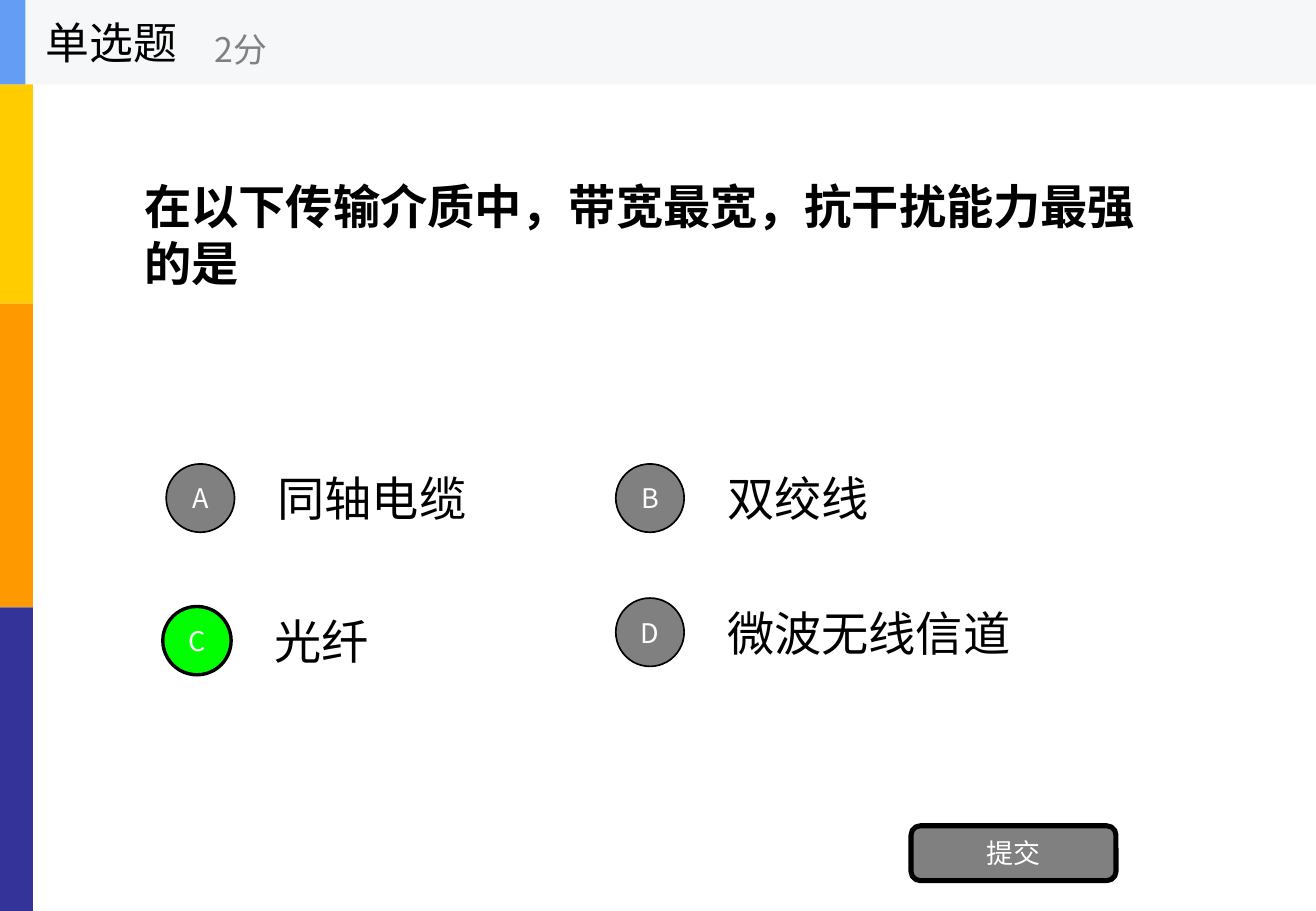
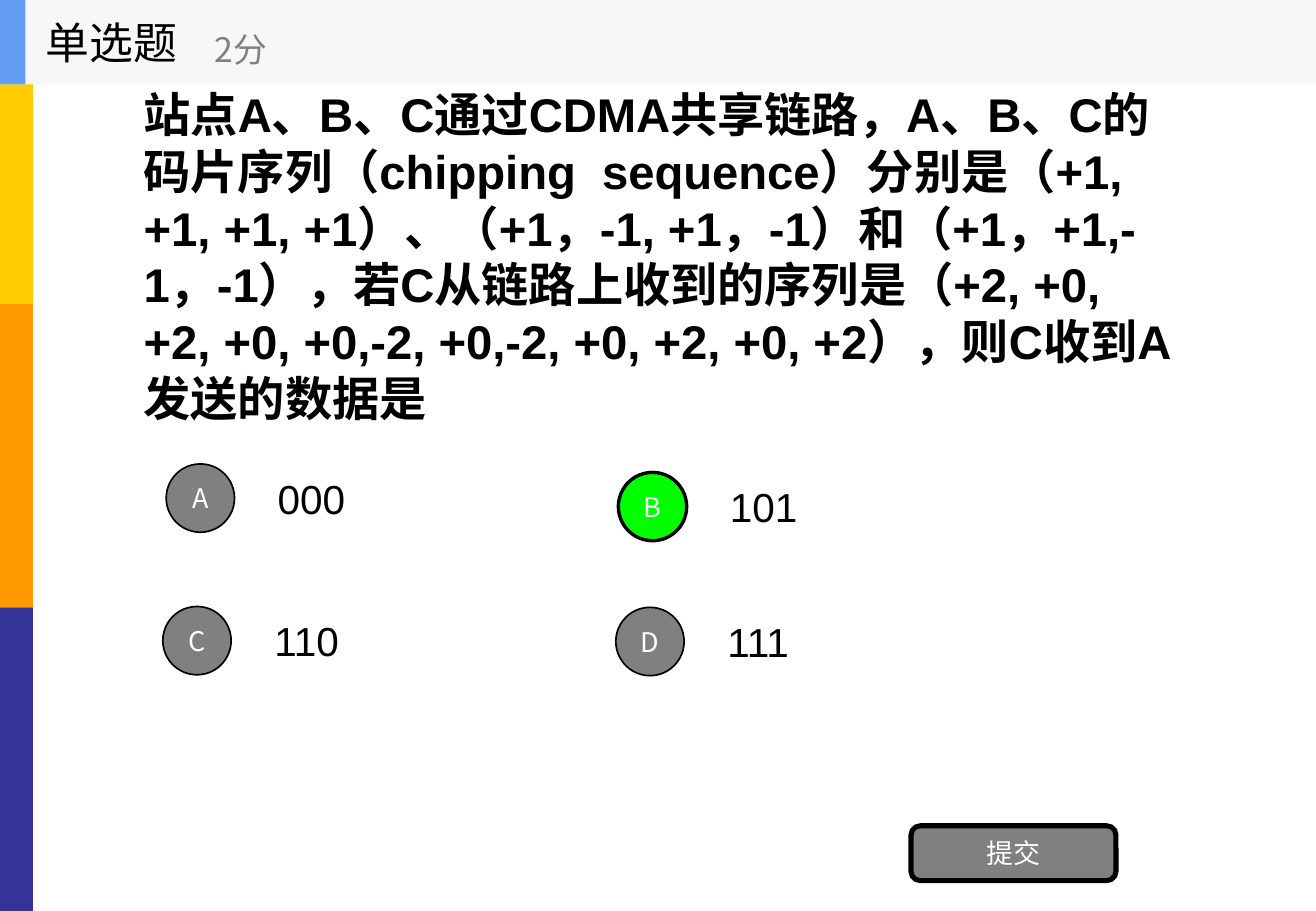
from lxml import etree
from pptx import Presentation
from pptx.dml.color import RGBColor
from pptx.enum.shapes import MSO_SHAPE
from pptx.enum.text import MSO_ANCHOR, PP_ALIGN
from pptx.oxml.ns import qn
from pptx.util import Pt

RECTANGLE = MSO_SHAPE.RECTANGLE
ROUNDED = MSO_SHAPE.ROUNDED_RECTANGLE
OVAL = MSO_SHAPE.OVAL
MIDDLE = MSO_ANCHOR.MIDDLE
LEFT, CENTER = PP_ALIGN.LEFT, PP_ALIGN.CENTER

BLACK = RGBColor(0x00, 0x00, 0x00)
WHITE = RGBColor(0xFF, 0xFF, 0xFF)
GRAY = RGBColor(0x80, 0x80, 0x80)
GREEN = RGBColor(0x00, 0xFF, 0x00)
HEADER_GRAY = RGBColor(0xF6, 0xF7, 0xF8)
HEADER_BLUE = RGBColor(0x63, 0x9E, 0xF4)
SIDE_COLORS = [
    RGBColor(0xFF, 0xCC, 0x00),
    RGBColor(0xFF, 0x99, 0x00),
    RGBColor(0x33, 0x33, 0x99),
]

BODY_FONT = "Arial"
LABEL_FONT = "Noto Sans CJK SC"

WIDTH, HEIGHT = 780, 540
SIDE_WIDTH = 19.5
HEADER_HEIGHT = 50
CIRCLE = 40.5
ANSWER_OFFSET = 59
ANSWER_SIZE = (230, 50.5)

QUESTIONS = [
    {
        "text": "在以下传输介质中，带宽最宽，抗干扰能力最强的是",
        "box": (78.5, 54.5, 624, 168.5),
        "answer_size": 28,
        "correct": "C",
        "options": [
            ("A", "同轴电缆", 98.5, 275),
            ("B", "双绞线", 365, 275),
            ("C", "光纤", 96.5, 359.5),
            ("D", "微波无线信道", 365, 354.5),
        ],
    },
    {
        "text": "站点A、B、C通过CDMA共享链路，A、B、C的码片序列（chipping  sequence）"
                "分别是（+1, +1, +1, +1）、（+1，-1, +1，-1）和（+1，+1,-1，-1），"
                "若C从链路上收到的序列是（+2, +0, +2, +0, +0,-2, +0,-2, +0, +2, +0, +2），"
                "则C收到A发送的数据是",
        "box": (78, 50, 624, 203),
        "answer_size": 24,
        "correct": "B",
        "options": [
            ("A", "000", 98.5, 275),
            ("B", "101", 366.5, 280),
            ("C", "110", 96.5, 359.5),
            ("D", "111", 365, 360),
        ],
    },
]


def write(shape, text, size, color, font=LABEL_FONT, bold=False, align=LEFT):
    frame = shape.text_frame
    frame.word_wrap = True
    frame.vertical_anchor = MIDDLE
    paragraph = frame.paragraphs[0]
    paragraph.text = text
    paragraph.alignment = align
    paragraph.font.size = Pt(size)
    paragraph.font.bold = bold
    paragraph.font.color.rgb = color
    paragraph.font.name = font
    defaults = paragraph._p.pPr.find(qn("a:defRPr"))
    etree.SubElement(defaults, qn("a:ea")).set("typeface", font)


def add_text(slide, box, text, size, color, **style):
    shape = slide.shapes.add_textbox(*map(Pt, box))
    write(shape, text, size, color, **style)


def add_block(slide, kind, box, fill, line_width=0):
    shape = slide.shapes.add_shape(kind, *map(Pt, box))
    shape.shadow.inherit = False
    shape.fill.solid()
    shape.fill.fore_color.rgb = fill
    if line_width:
        shape.line.color.rgb = BLACK
        shape.line.width = Pt(line_width)
    else:
        shape.line.fill.background()
    return shape


def add_side_bands(slide):
    band_height = HEIGHT / len(SIDE_COLORS)
    for index, color in enumerate(SIDE_COLORS):
        add_block(slide, RECTANGLE, (0, index * band_height, SIDE_WIDTH, band_height), color)


def add_header(slide):
    add_block(slide, RECTANGLE, (0, 0, WIDTH, HEADER_HEIGHT), HEADER_GRAY)
    add_block(slide, RECTANGLE, (0, 0, 15, HEADER_HEIGHT), HEADER_BLUE)
    add_text(slide, (20, 0, 150, HEADER_HEIGHT), "单选题", 26, BLACK)
    add_text(slide, (120, 8.5, 180, 40.5), "2分", 20, GRAY)


def add_option(slide, letter, answer, left, top, size, correct):
    answer_box = (left + ANSWER_OFFSET, top - (ANSWER_SIZE[1] - CIRCLE) / 2, *ANSWER_SIZE)
    add_text(slide, answer_box, answer, size, BLACK, font=BODY_FONT)
    fill, line_width = (GREEN, 2) if correct else (GRAY, 1)
    circle = add_block(slide, OVAL, (left, top, CIRCLE, CIRCLE), fill, line_width)
    write(circle, letter, 16, WHITE, align=CENTER)


def add_question(presentation, question):
    slide = presentation.slides.add_slide(presentation.slide_layouts[6])
    add_side_bands(slide)
    add_text(slide, question["box"], question["text"], 28, BLACK, font=BODY_FONT, bold=True)
    for letter, answer, left, top in question["options"]:
        add_option(slide, letter, answer, left, top,
                   question["answer_size"], letter == question["correct"])
    button = add_block(slide, ROUNDED, (540, 489.5, 121.5, 32.5), GRAY, 3)
    write(button, "提交", 16, WHITE, align=CENTER)
    add_header(slide)


def main():
    presentation = Presentation()
    presentation.slide_width = Pt(WIDTH)
    presentation.slide_height = Pt(HEIGHT)
    for question in QUESTIONS:
        add_question(presentation, question)
    presentation.save("out.pptx")


if __name__ == "__main__":
    main()
